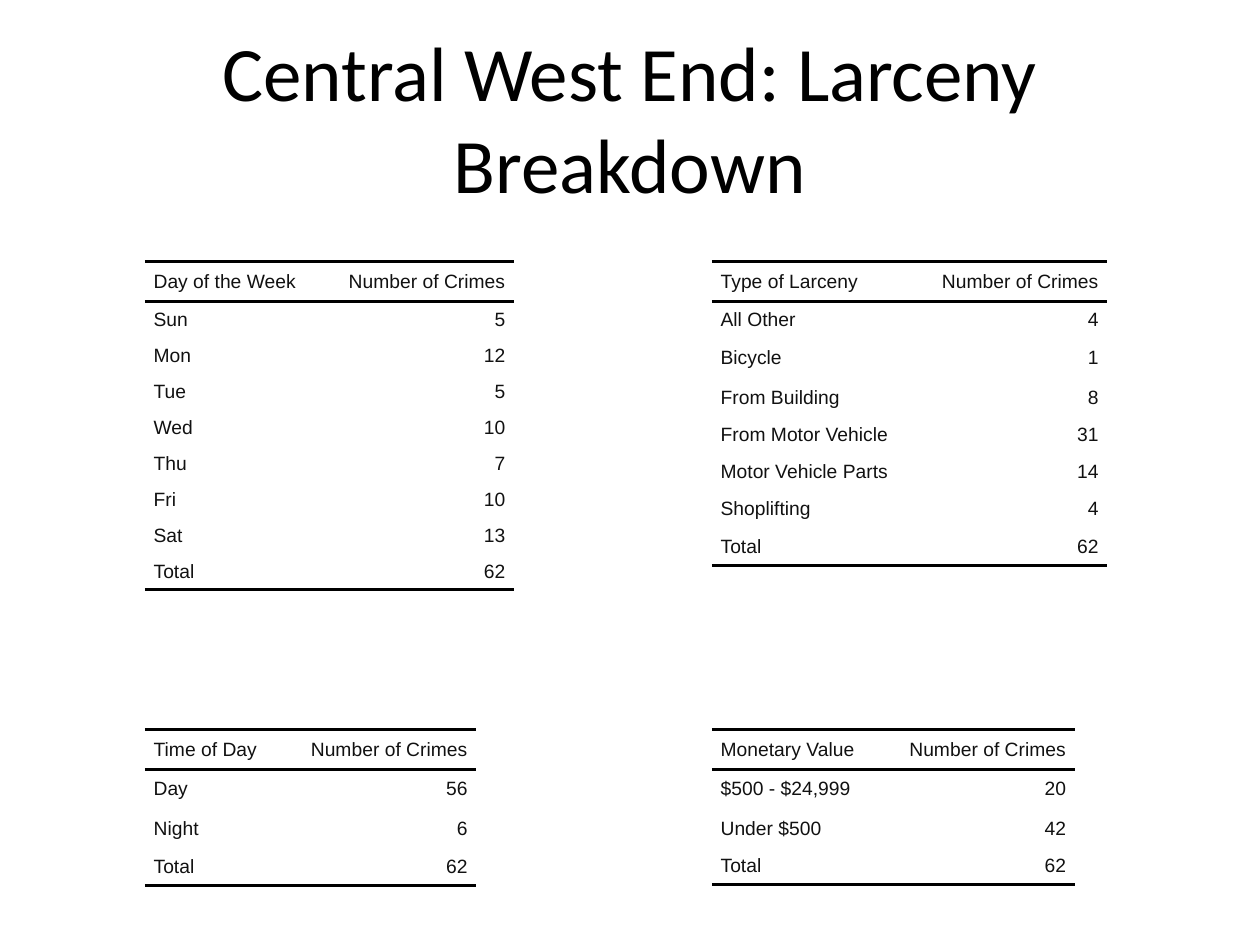
from lxml import etree
from pptx import Presentation
from pptx.dml.color import RGBColor
from pptx.enum.text import MSO_ANCHOR, PP_ALIGN
from pptx.oxml.ns import qn
from pptx.util import Pt

BLACK = RGBColor(0x00, 0x00, 0x00)
INK = RGBColor(0x11, 0x11, 0x11)
PLAIN = "{2D5ABB26-0587-4C30-8999-92F81FD0307C}"
TALL, MID, LOW = 22.8, 22.2, 20.6
LEFT, RIGHT = 82.8, 406.8
UPPER, LOWER = 149.5, 416.8
COUNT = 109.4


def add_run(para, text, font, size, color):
    run = para.add_run()
    run.text = text
    run.font.name = font
    run.font.size = Pt(size)
    run.font.color.rgb = color


def add_rule(cell, side):
    """Draw a black line on one side of a cell: lnT or lnB."""
    line = etree.SubElement(cell._tc.get_or_add_tcPr(), qn(f"a:{side}"), w=str(Pt(2)))
    fill = etree.SubElement(line, qn("a:solidFill"))
    etree.SubElement(fill, qn("a:srgbClr"), val=str(BLACK))


deck = Presentation()
deck.slide_width, deck.slide_height = Pt(720), Pt(540)
slide = deck.slides.add_slide(deck.slide_layouts[6])

title = slide.shapes.add_textbox(Pt(36), Pt(21.6), Pt(648), Pt(90)).text_frame
title.word_wrap = True
title.vertical_anchor = MSO_ANCHOR.MIDDLE
title.paragraphs[0].alignment = PP_ALIGN.CENTER
add_run(title.paragraphs[0], "Central West End: Larceny Breakdown", "Calibri", 44, BLACK)

# Left, top, width of the label column, heading, then label, count and height by row
tables = [
    (LEFT, UPPER, 101.6, "Day of the Week", [
        ("Sun", 5, LOW), ("Mon", 12, LOW), ("Tue", 5, LOW), ("Wed", 10, LOW),
        ("Thu", 7, LOW), ("Fri", 10, LOW), ("Sat", 13, LOW), ("Total", 62, LOW)]),
    (LEFT, LOWER, 80, "Time of Day", [
        ("Day", 56, TALL), ("Night", 6, TALL), ("Total", 62, LOW)]),
    (RIGHT, UPPER, 116.6, "Type of Larceny", [
        ("All Other", 4, LOW), ("Bicycle", 1, TALL), ("From Building", 8, TALL),
        ("From Motor Vehicle", 31, LOW), ("Motor Vehicle Parts", 14, LOW),
        ("Shoplifting", 4, TALL), ("Total", 62, LOW)]),
    (RIGHT, LOWER, 98, "Monetary Value", [
        ("$500 - $24,999", 20, TALL), ("Under $500", 42, MID), ("Total", 62, LOW)]),
]

for left, top, width, head, body in tables:
    rows = [(head, "Number of Crimes", TALL)] + body
    high = sum(row[2] for row in rows)
    frame = slide.shapes.add_table(
        len(rows), 2, Pt(left), Pt(top), Pt(width + COUNT), Pt(high))
    table = frame.table
    table.first_row = table.horz_banding = False
    table._tbl.tblPr.find(qn("a:tableStyleId")).text = PLAIN
    table.columns[0].width, table.columns[1].width = Pt(width), Pt(COUNT)
    for r, (label, count, tall) in enumerate(rows):
        table.rows[r].height = Pt(tall)
        for c, text in enumerate((label, str(count))):
            cell = table.cell(r, c)
            cell.margin_left = cell.margin_right = 0
            cell.margin_top = cell.margin_bottom = 0
            cell.vertical_anchor = MSO_ANCHOR.MIDDLE
            if r == 0:
                add_rule(cell, "lnT")
            if r in (0, len(rows) - 1):
                add_rule(cell, "lnB")
            cell.fill.background()
            para = cell.text_frame.paragraphs[0]
            para.alignment = PP_ALIGN.RIGHT if c else PP_ALIGN.LEFT
            para.space_before = para.space_after = Pt(2)
            props = para._p.get_or_add_pPr()
            for side in ("marL", "marR"):
                props.set(side, str(Pt(5)))
            add_run(para, text, "Arial", 11, INK)

deck.save("out.pptx")
